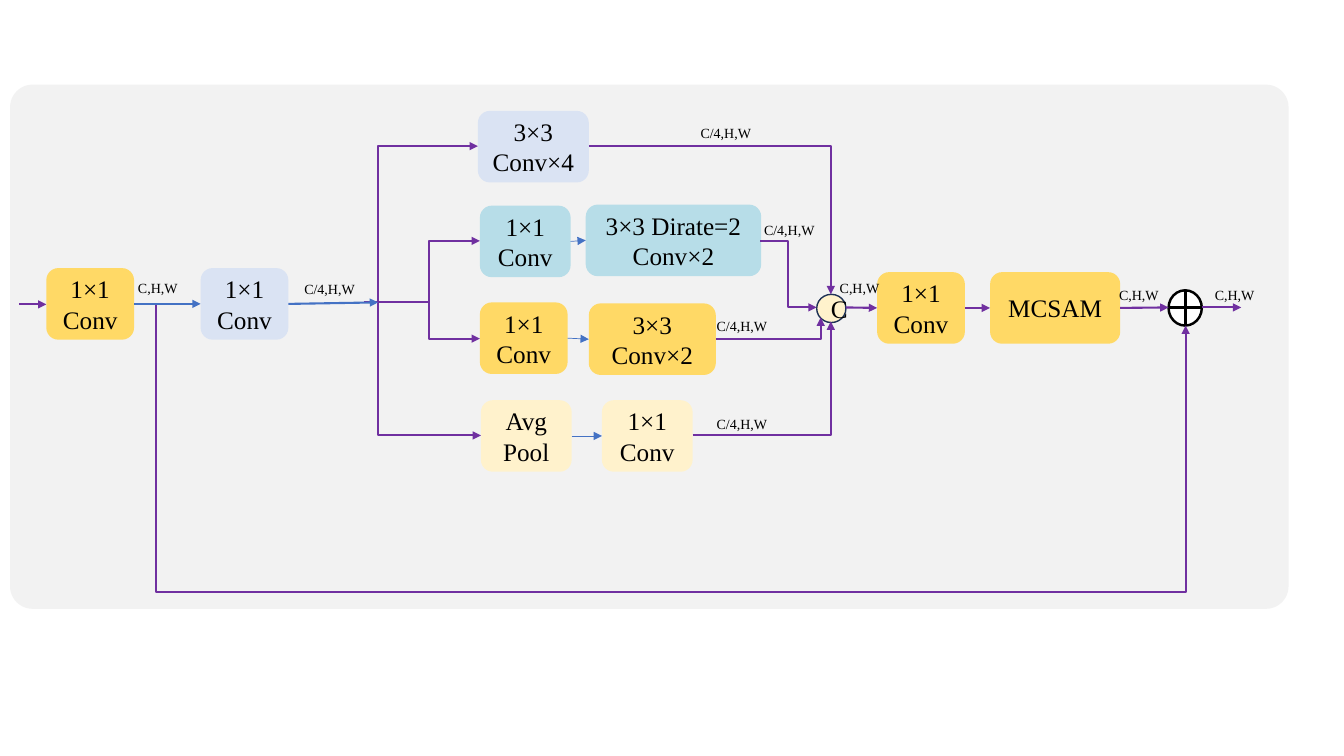
from lxml import etree
from pptx import Presentation
from pptx.dml.color import RGBColor
from pptx.enum.shapes import MSO_CONNECTOR, MSO_SHAPE
from pptx.enum.text import MSO_ANCHOR, MSO_AUTO_SIZE, PP_ALIGN
from pptx.oxml.ns import qn
from pptx.util import Inches, Pt

STRAIGHT, ELBOW = MSO_CONNECTOR.STRAIGHT, MSO_CONNECTOR.ELBOW
ROUNDED, OVAL = MSO_SHAPE.ROUNDED_RECTANGLE, MSO_SHAPE.OVAL
MIDDLE, CENTER = MSO_ANCHOR.MIDDLE, PP_ALIGN.CENTER
FIT_SHAPE = MSO_AUTO_SIZE.SHAPE_TO_FIT_TEXT
FONT = "Times New Roman"
COLOURS = {
    "panel": "F2F2F2", "lavender": "DAE3F3", "teal": "B7DDE8",
    "gold": "FFD966", "cream": "FFF2CC", "white": "FFFFFF",
    "purple": "7030A0", "blue": "4472C4", "navy": "1E3256", "black": "000000",
}
RGB = {name: RGBColor.from_string(value) for name, value in COLOURS.items()}

prs = Presentation()
prs.slide_width, prs.slide_height = Inches(13.33), Inches(7.5)
slide = prs.slides.add_slide(prs.slide_layouts[6])


def add_node(preset, left, top, width, height, fill, text="", outline=None, weight=1):
    node = slide.shapes.add_shape(
        preset, Inches(left), Inches(top), Inches(width), Inches(height))
    node.shadow.inherit = False
    node.fill.solid()
    node.fill.fore_color.rgb = RGB[fill]
    if outline:
        node.line.color.rgb = RGB[outline]
        node.line.width = Pt(weight)
    else:
        node.line.fill.background()
    if text:
        node.text_frame.word_wrap = True
        node.text_frame.vertical_anchor = MIDDLE
        paragraph = node.text_frame.paragraphs[0]
        paragraph.alignment = CENTER
        run = paragraph.add_run()
        run.text = text
        run.font.name, run.font.size = FONT, Pt(18)
        run.font.color.rgb = RGB["black"]
    return node


def add_link(start, end, colour="purple", weight=1.5, arrow="tailEnd",
             bend=None, adjust=(), source=None, target=None):
    link = slide.shapes.add_connector(
        ELBOW if bend else STRAIGHT, *[Inches(v) for v in (*start, *end)])
    link.line.color.rgb = RGB[colour]
    link.line.width = Pt(weight)
    if source:
        link.begin_connect(source, 3)
    if target:
        link.end_connect(target, 1)
    properties = link._element.spPr
    if bend:
        geometry = properties.find(qn("a:prstGeom"))
        geometry.set("prst", bend)
        guides = geometry.find(qn("a:avLst"))
        for number, value in enumerate(adjust, 1):
            etree.SubElement(guides, qn("a:gd"), name=f"adj{number}", fmla=f"val {value}")
    if arrow:
        etree.SubElement(properties.find(qn("a:ln")), qn(f"a:{arrow}"), type="triangle")
    etree.SubElement(properties, qn("a:effectLst"))


panel = add_node(ROUNDED, 0.1, 0.84, 12.68, 5.2, "panel")
panel.adjustments[0] = 0.043

sum_left, sum_mid, sum_right = 11.59, 11.76, 11.92
sum_top, main_y, sum_bottom = 2.88, 3.05, 3.23
add_node(OVAL, sum_left, sum_top, 0.33, 0.35, "white", outline="black", weight=1.75)
for start, end in [((sum_left, main_y), (sum_right, main_y)),
                   ((sum_mid, sum_top), (sum_mid, sum_bottom))]:
    add_link(start, end, "black", 1.75, arrow=None)

add_link((1.33, 3.02), (sum_mid, sum_bottom), bend="bentConnector4", adjust=(2100, 1360300))
add_link((0.19, 3.02), (0.46, 3.02))

blocks = {}
for name, text, left, top, width, fill in [
    ("input conv", "1×1 Conv", 0.46, 2.66, 0.87, "gold"),
    ("reduce conv", "1×1 Conv", 1.99, 2.66, 0.87, "lavender"),
    ("deep conv", "3×3 Conv×4", 4.74, 1.1, 1.1, "lavender"),
    ("dilated entry", "1×1 Conv", 4.76, 2.04, 0.9, "teal"),
    ("dilated conv", "3×3 Dirate=2 Conv×2", 5.81, 2.03, 1.74, "teal"),
    ("plain entry", "1×1 Conv", 4.76, 3, 0.87, "gold"),
    ("plain conv", "3×3 Conv×2", 5.84, 3.01, 1.26, "gold"),
    ("pool", "Avg Pool", 4.77, 3.97, 0.9, "cream"),
    ("pool conv", "1×1 Conv", 5.97, 3.97, 0.9, "cream"),
    ("fuse conv", "1×1 Conv", 8.7, 2.7, 0.87, "gold"),
    ("attention", "MCSAM", 9.82, 2.7, 1.29, "gold"),
]:
    blocks[name] = add_node(ROUNDED, left, top, width, 0.71, fill, text)

split = (3.75, 3)
add_link((3.61, 3), split, arrow=None)
for outer in [(4.74, 1.45), (4.77, 4.32)]:
    add_link(outer, split, arrow="headEnd", bend="bentConnector2")
for inner in [(4.76, 2.39), (4.76, 3.36)]:
    add_link(split, inner, bend="bentConnector3")

add_node(OVAL, 8.1, 2.92, 0.29, 0.28, "cream", "C", outline="navy")
for start, end, bend in [
    ((5.84, 1.45), (8.24, 2.92), "bentConnector2"),
    ((7.54, 2.39), (8.1, main_y), "bentConnector3"),
    ((7.1, 3.36), (8.14, 3.15), "bentConnector2"),
    ((6.87, 4.32), (8.24, 3.19), "bentConnector2"),
]:
    add_link(start, end, bend=bend)

for source, target, colour, weight in [
    ("input conv", "reduce conv", "blue", 1.5),
    ("dilated entry", "dilated conv", "blue", 0.5),
    ("plain entry", "plain conv", "blue", 0.5),
    ("pool", "pool conv", "blue", 0.5),
    ("fuse conv", "attention", "purple", 1.5),
]:
    add_link((0, 0), (0, 0), colour, weight, source=blocks[source], target=blocks[target])

add_link((2.85, 3.02), split, "blue", source=blocks["reduce conv"])
add_link((8.39, main_y), (8.7, main_y), target=blocks["fuse conv"])
add_link((11.1, main_y), (sum_left, main_y), source=blocks["attention"])
add_link((sum_right, main_y), (12.31, main_y))

for size, corners in {
    "C,H,W": [(1.27, 2.72), (8.23, 2.72), (11, 2.79), (11.95, 2.79)],
    "C/4,H,W": [(2.92, 2.73), (6.85, 1.19), (7.48, 2.15), (7.01, 3.1), (7.01, 4.07)],
}.items():
    for left, top in corners:
        label = slide.shapes.add_textbox(Inches(left), Inches(top), Inches(1.09), Inches(0.27))
        label.text_frame.word_wrap = True
        label.text_frame.auto_size = FIT_SHAPE
        run = label.text_frame.paragraphs[0].add_run()
        run.text = size
        run.font.name, run.font.size = FONT, Pt(10)
        run.font.color.rgb = RGB["black"]

prs.save("out.pptx")
